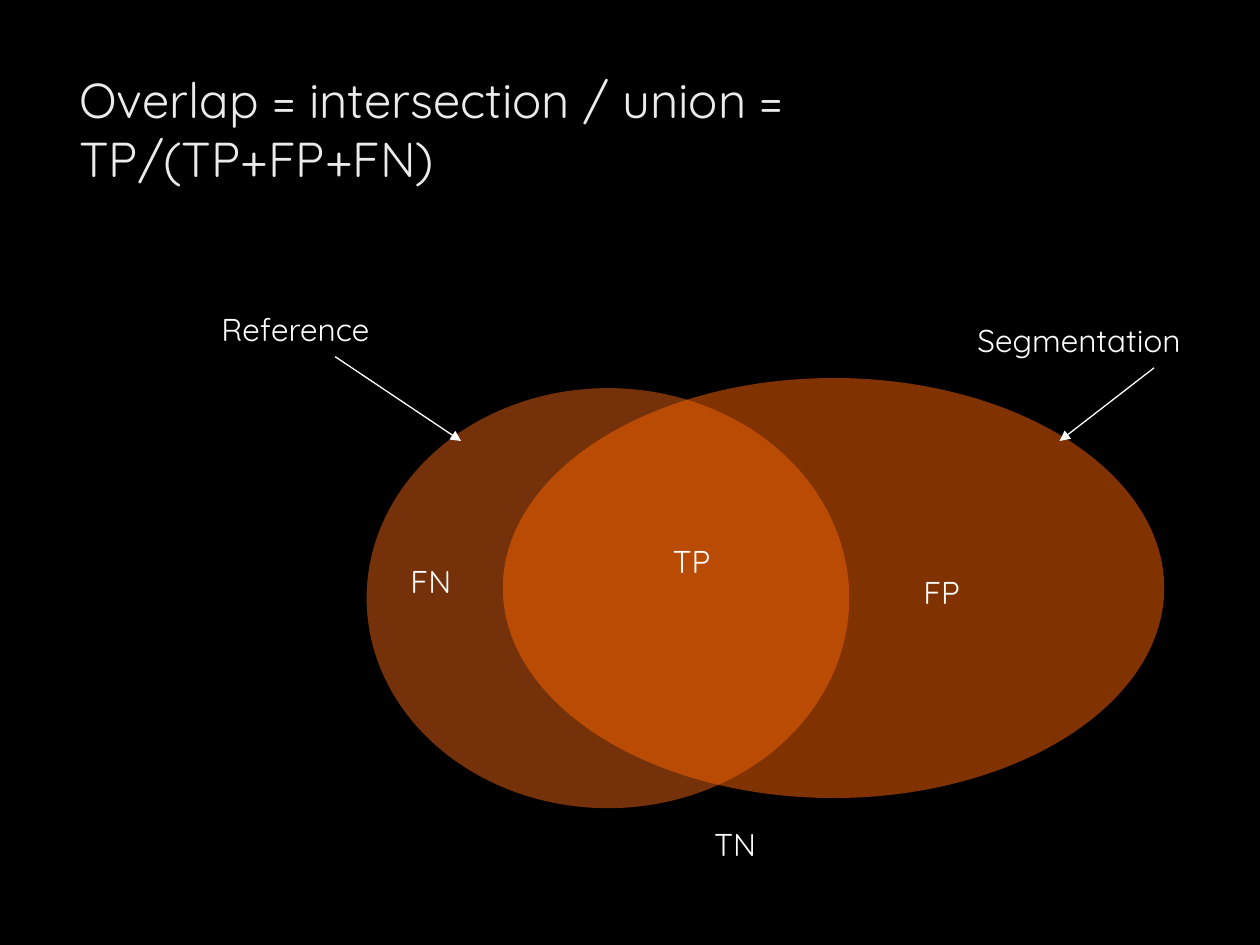
from pptx import Presentation
from pptx.dml.color import RGBColor
from pptx.enum.shapes import MSO_CONNECTOR as Line, MSO_SHAPE as Kind
from pptx.enum.text import MSO_ANCHOR as Anchor, MSO_AUTO_SIZE as Fit, PP_ALIGN as Align
from pptx.oxml.ns import qn
from pptx.util import Pt
from lxml.etree import SubElement as Sub

WHITE = "FFFFFF"


def paint(fill, code, alpha=None):
    fill.solid()
    fill.fore_color.rgb = RGBColor.from_string(code)
    if alpha is not None:
        tone = fill._xPr.find(qn("a:solidFill"))[0]
        Sub(tone, qn("a:alpha")).set("val", str(alpha * 1000))


def write(shape, text, size=18, color=WHITE, font="Quicksand"):
    frame = shape.text_frame
    frame.word_wrap = True
    frame.auto_size = Fit.NONE
    frame.vertical_anchor = Anchor.TOP
    para = frame.paragraphs[0]
    para.alignment = Align.LEFT
    run = para.add_run()
    run.text = text
    run.font.name = font
    run.font.size = Pt(size)
    paint(run.font.fill, color)


def head(slide, box, text):
    title = slide.shapes.title
    title.left, title.top, title.width, title.height = map(Pt, box)
    write(title, text, size=28, color="EBEBEB")


def oval(slide, x, y, w, h, color):
    shape = slide.shapes.add_shape(Kind.OVAL, Pt(x), Pt(y), Pt(w), Pt(h))
    shape.shadow.inherit = False
    shape.line.fill.background()
    paint(shape.fill, color, alpha=50)


def label(slide, x, y, w, text):
    write(slide.shapes.add_textbox(Pt(x), Pt(y), Pt(w), Pt(36)), text)


def arrow(slide, *ends):
    link = slide.shapes.add_connector(Line.STRAIGHT, *map(Pt, ends))
    link.line.width = Pt(0.75)
    paint(link.line.fill, WHITE)
    Sub(link.line._get_or_add_ln(), qn("a:tailEnd")).set("type", "triangle")
    Sub(link._element.spPr, qn("a:effectLst"))


def venn(slide, left, top):
    for x, y, w, color in ((90, 48.3, 275.8, "EA6312"),
                           (167.8, 42.5, 378, "FF6600")):
        oval(slide, left + x, top + y, w, 240, color)
    for x, y, w, text in ((257.8, 132.5, 46, "TP"), (108, 144, 47, "FN"),
                          (401, 150.5, 46, "FP"), (281.5, 294.5, 47, "TN")):
        label(slide, left + x, top + y, w, text)
    for x, y, tip in ((72, 30.3, 144), (540, 36.7, 486)):
        arrow(slide, left + x, top + y, left + tip, top + 78.5)
    label(slide, left, top, 125, "Reference")
    label(slide, left + 432, top + 6.5, 163, "Segmentation")


def main():
    deck = Presentation()
    deck.slide_width, deck.slide_height = Pt(720), Pt(540)
    slide = deck.slides.add_slide(deck.slide_layouts[5])
    paint(slide.background.fill, "000000")
    head(slide, (38.2, 36, 556, 110),
         "Overlap = intersection / union = TP/(TP+FP+FN)")
    venn(slide, 119.5, 173.5)
    deck.save("out.pptx")


if __name__ == "__main__":
    main()
